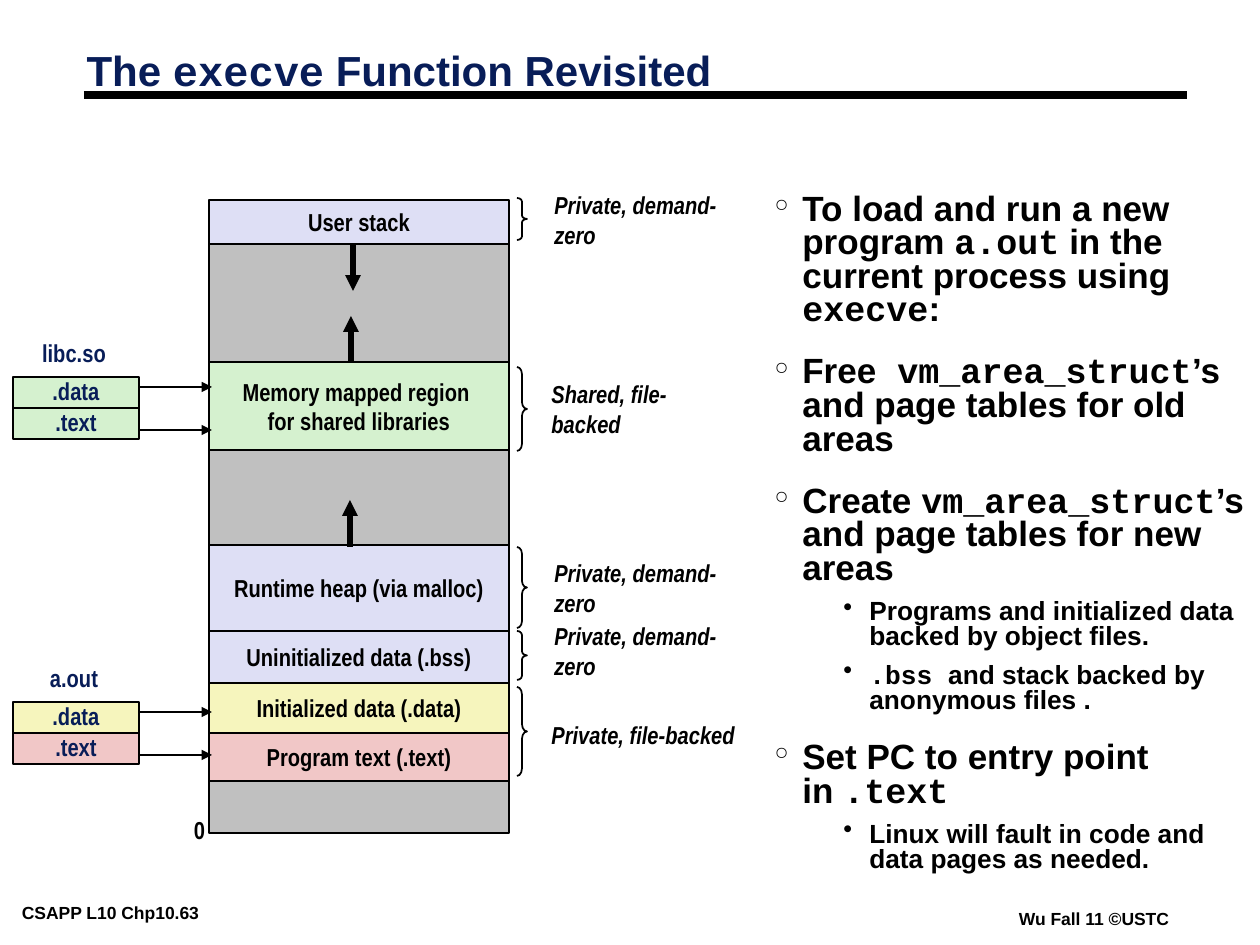
from dataclasses import dataclass
from itertools import accumulate

from lxml.etree import SubElement
from pptx import Presentation
from pptx.dml.color import RGBColor
from pptx.enum.shapes import MSO_CONNECTOR as Connector, MSO_SHAPE as Shape
from pptx.enum.text import MSO_ANCHOR as Anchor, MSO_AUTO_SIZE as AutoSize, PP_ALIGN as Align
from pptx.oxml.ns import qn
from pptx.util import Emu, Pt

PX_PER_INCH = 126
BLACK = RGBColor(0x00, 0x00, 0x00)
NAVY = RGBColor(0x08, 0x1D, 0x58)
GRAY = RGBColor(0xC0, 0xC0, 0xC0)
LAVENDER = RGBColor(0xDE, 0xDF, 0xF5)
GREEN = RGBColor(0xD5, 0xF1, 0xCF)
YELLOW = RGBColor(0xF6, 0xF5, 0xBD)
PINK = RGBColor(0xF1, 0xC7, 0xC7)
SANS, NARROW, MONO = "Arial", "Arial Narrow", "Courier New"

MEMORY_LEFT, MEMORY_TOP, MEMORY_WIDTH = 209, 200, 300
FILE_LEFT, FILE_WIDTH, SECTION_HEIGHT = 13, 126, 31
BRACE_LEFT, BRACE_WIDTH = 517, 10


@dataclass(frozen=True)
class Style:
    size: int = 14
    font: str = NARROW
    color: RGBColor = BLACK
    italic: bool = False
    align: Align = Align.CENTER
    spacing: float = 1.0


@dataclass(frozen=True)
class Region:
    height: int
    fill: RGBColor
    text: str = ""


@dataclass(frozen=True)
class Backing:
    top: int
    height: int
    text: str
    text_left: int
    text_top: int
    text_width: int


@dataclass(frozen=True)
class ObjectFile:
    name: str
    top: int
    data_fill: RGBColor
    text_fill: RGBColor


@dataclass(frozen=True)
class Arrow:
    x1: int
    y1: int
    x2: int
    y2: int
    weight: float


@dataclass(frozen=True)
class Level:
    bullet: str
    margin: int
    hanging: int
    before: float
    style: Style


CENTERED = Style()
FILE_STYLE = Style(color=NAVY, spacing=0.9)
BACKING_STYLE = Style(italic=True, align=Align.LEFT)
FOOTER_STYLE = Style(10, SANS, align=Align.LEFT)
TITLE_STYLE = Style(24, SANS, NAVY, align=Align.LEFT, spacing=0.87)
STEP = Level("°", 28, 28, 16.2, Style(20, SANS, align=Align.LEFT, spacing=0.8))
DETAIL = Level("•", 95, 26, 7.5, Style(15, SANS, align=Align.LEFT, spacing=0.8))

REGIONS = [
    Region(44, LAVENDER, "User stack"),
    Region(118, GRAY),
    Region(88, GREEN, "Memory mapped region \nfor shared libraries"),
    Region(95, GRAY),
    Region(86, LAVENDER, "Runtime heap (via malloc)"),
    Region(52, LAVENDER, "Uninitialized data (.bss)"),
    Region(50, YELLOW, "Initialized data (.data)"),
    Region(48, PINK, "Program text (.text)"),
    Region(52, GRAY),
]
BACKINGS = [
    Backing(198, 42, "Private, demand-zero", 542, 198, 228),
    Backing(367, 84, "Shared, file-backed", 539, 387, 209),
    Backing(547, 81, "Private, demand-zero", 542, 566, 228),
    Backing(631, 49, "Private, demand-zero", 542, 629, 228),
    Backing(687, 89, "Private, file-backed", 539, 713, 209),
]
GROWTH_ARROWS = [
    Arrow(353, 244, 353, 291, 3),
    Arrow(351, 363, 351, 316, 3),
    Arrow(350, 547, 350, 500, 3),
]
OBJECT_FILES = [
    ObjectFile("libc.so", 377, GREEN, GREEN),
    ObjectFile("a.out", 702, YELLOW, PINK),
]
STEPS = [
    (STEP, "To load and run a new program `a.out` in the current process using `execve`:"),
    (STEP, "Free` vm_area_struct`’s and page tables for old areas"),
    (STEP, "Create `vm_area_struct`’s and page tables for new areas"),
    (DETAIL, "Programs and initialized data backed by object files."),
    (DETAIL, "`.bss `and stack backed by anonymous files ."),
    (STEP, "Set PC to entry point in `.text`"),
    (DETAIL, "Linux will fault in code and data pages as needed."),
]


def px(value: float) -> Emu:
    return Emu(round(value * 914400 / PX_PER_INCH))


def write(paragraph, text: str, style: Style) -> None:
    """Fill a paragraph, setting the parts between backticks in the code font."""
    paragraph.alignment, paragraph.line_spacing = style.align, style.spacing
    for index, part in enumerate(text.split("`")):
        if part:
            run = paragraph.add_run()
            run.text = part
            run.font.name = MONO if index % 2 else style.font
            run.font.size, run.font.bold = Pt(style.size), True
            run.font.italic = style.italic
            run.font.color.rgb = style.color


def fill_frame(text_frame, text: str, style: Style, anchor: Anchor) -> None:
    text_frame.word_wrap = False
    text_frame.vertical_anchor = anchor
    for index, line in enumerate(text.split("\n")):
        write(text_frame.add_paragraph() if index else text_frame.paragraphs[0], line, style)


def add_label(slide, left: int, top: int, width: int, height: int, text: str,
              style: Style, anchor: Anchor = Anchor.TOP):
    box = slide.shapes.add_textbox(px(left), px(top), px(width), px(height))
    fill_frame(box.text_frame, text, style, anchor)
    return box.text_frame


def add_footer(slide, left: int, top: int, width: int, text: str) -> None:
    frame = add_label(slide, left, top, width, 28, text, FOOTER_STYLE)
    frame.margin_left = frame.margin_right = px(9)
    frame.margin_top = frame.margin_bottom = px(4)


def add_block(slide, left: int, top: int, width: int, height: int, fill: RGBColor,
              text: str, style: Style, weight: float) -> None:
    block = slide.shapes.add_shape(Shape.RECTANGLE, px(left), px(top), px(width), px(height))
    block.shadow.inherit = False
    block.fill.solid()
    block.fill.fore_color.rgb = fill
    block.line.color.rgb, block.line.width = BLACK, Pt(weight)
    if text:
        fill_frame(block.text_frame, text, style, Anchor.MIDDLE)


def add_line(slide, arrow: Arrow, head: bool = True) -> None:
    line = slide.shapes.add_connector(
        Connector.STRAIGHT, px(arrow.x1), px(arrow.y1), px(arrow.x2), px(arrow.y2))
    line.line.color.rgb, line.line.width = BLACK, Pt(arrow.weight)
    if head:
        SubElement(line.line._get_or_add_ln(), qn("a:tailEnd"), type="triangle")
    SubElement(line._element.spPr, qn("a:effectLst"))


def add_backing(slide, backing: Backing) -> None:
    brace = slide.shapes.add_shape(
        Shape.RIGHT_BRACE, px(BRACE_LEFT), px(backing.top), px(BRACE_WIDTH), px(backing.height))
    brace.adjustments[0] = backing.height / BRACE_WIDTH / 12
    brace.shadow.inherit = False
    brace.fill.background()
    brace.line.color.rgb, brace.line.width = BLACK, Pt(1)
    add_label(slide, backing.text_left, backing.text_top, backing.text_width, 43,
              backing.text, BACKING_STYLE, Anchor.MIDDLE)


def add_object_file(slide, file: ObjectFile) -> None:
    add_label(slide, 29, file.top - 42, 90, 39, file.name, FILE_STYLE)
    sections = [(".data", file.data_fill, 10), (".text", file.text_fill, 53)]
    for index, (name, fill, arrow_offset) in enumerate(sections):
        add_block(slide, FILE_LEFT, file.top + index * SECTION_HEIGHT, FILE_WIDTH,
                  SECTION_HEIGHT, fill, name, FILE_STYLE, 0.75)
        y = file.top + arrow_offset
        add_line(slide, Arrow(FILE_LEFT + FILE_WIDTH, y, 212, y, 1))


def add_steps(slide) -> None:
    frame = slide.shapes.add_textbox(px(762), px(188), px(498), px(692)).text_frame
    frame.word_wrap = True
    for index, (level, text) in enumerate(STEPS):
        paragraph = frame.add_paragraph() if index else frame.paragraphs[0]
        properties = paragraph._p.get_or_add_pPr()
        properties.set("marL", str(px(level.margin)))
        properties.set("indent", str(-px(level.hanging)))
        color = SubElement(properties, qn("a:buClr"))
        SubElement(color, qn("a:srgbClr"), val=str(BLACK))
        SubElement(properties, qn("a:buChar"), char=level.bullet)
        if index:
            paragraph.space_before = Pt(level.before)
        write(paragraph, text, level.style)


def main() -> None:
    presentation = Presentation()
    presentation.slide_width, presentation.slide_height = px(1260), px(945)
    slide = presentation.slides.add_slide(presentation.slide_layouts[5])
    add_footer(slide, 13, 898, 265, "CSAPP L10 Chp10.63")
    add_footer(slide, 1010, 904, 174, "Wu Fall 11 ©USTC")
    add_line(slide, Arrow(84, 95, 1187, 95, 4.5), head=False)
    title = slide.shapes.title
    title.left, title.top, title.width, title.height = px(74), px(45), px(1046), px(57)
    title.text_frame.auto_size = AutoSize.NONE
    fill_frame(title.text_frame, "The `execve` Function Revisited", TITLE_STYLE, Anchor.MIDDLE)
    title.text_frame.word_wrap = True
    add_steps(slide)
    tops = accumulate((region.height for region in REGIONS), initial=MEMORY_TOP)
    for region, top in zip(REGIONS, tops):
        add_block(slide, MEMORY_LEFT, top, MEMORY_WIDTH, region.height, region.fill,
                  region.text, CENTERED, 1)
    for arrow in GROWTH_ARROWS:
        add_line(slide, arrow)
    add_label(slide, 181, 809, 37, 43, "0", CENTERED)
    for backing in BACKINGS:
        add_backing(slide, backing)
    for file in OBJECT_FILES:
        add_object_file(slide, file)
    presentation.save("out.pptx")


if __name__ == "__main__":
    main()
